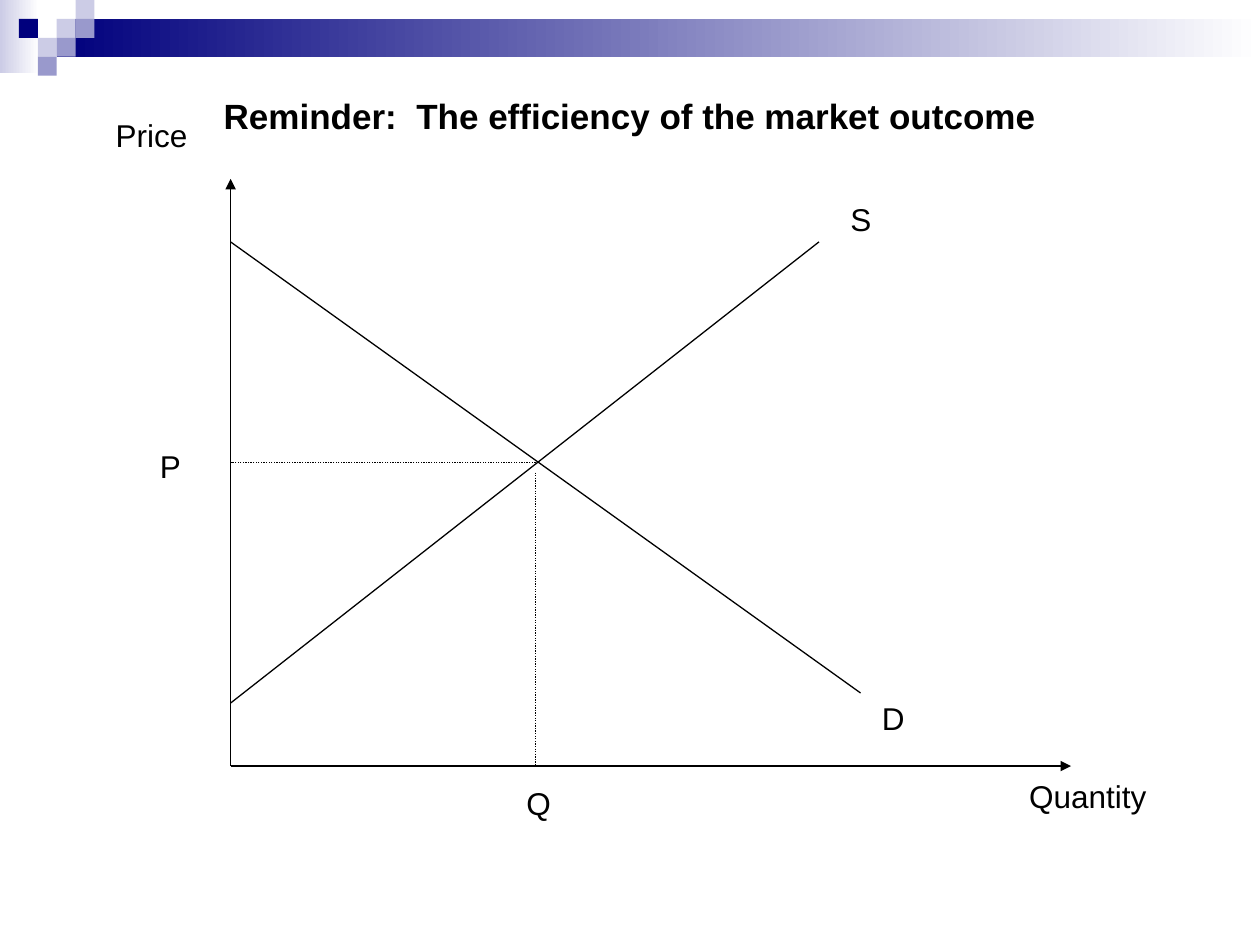
from pptx import Presentation
from pptx import util as u
from pptx.dml.color import RGBColor
from pptx.enum import dml, shapes, text
from pptx.oxml.ns import qn
from lxml import etree

INK = {"black": "000000", "navy": "00007D", "mid": "9999CC",
       "pale": "CCCCE6", "white": "FFFFFF"}


def rgb(name):
    return RGBColor.from_string(INK[name])


def write(frame, words, size=18, bold=False, align=text.PP_ALIGN.LEFT,
          anchor=text.MSO_ANCHOR.TOP, wrap=False):
    frame.word_wrap = wrap
    frame.vertical_anchor = anchor
    para = frame.paragraphs[0]
    para.alignment = align
    run = para.add_run()
    run.text = words
    font = run.font
    font.name, font.size, font.bold = "Arial", u.Pt(size), bold
    font.color.rgb = rgb("black")


def label(slide, words, left, top, width):
    box = slide.shapes.add_textbox(
        u.Inches(left), u.Inches(top), u.Inches(width), u.Inches(0.4))
    write(box.text_frame, words)


def line(slide, start, end, dots=False, arrow=False):
    rule = slide.shapes.add_connector(
        shapes.MSO_CONNECTOR.STRAIGHT, *(u.Inches(n) for n in (*start, *end)))
    rule.line.color.rgb = rgb("black")
    rule.line.width = u.Pt(0.75)
    if dots:
        rule.line.dash_style = dml.MSO_LINE.ROUND_DOT
    if arrow:
        tip = etree.SubElement(rule.line._get_or_add_ln(), qn("a:tailEnd"))
        tip.set("type", "triangle")
    etree.SubElement(rule._element.spPr, qn("a:effectLst"))


def block(slide, left, top, width, height, first, last=None):
    rect = slide.shapes.add_shape(
        shapes.MSO_SHAPE.RECTANGLE,
        *(u.Inches(n) for n in (left, top, width, height)))
    rect.shadow.inherit = False
    rect.line.fill.background()
    if last:
        rect.fill.gradient()
        rect.fill.gradient_angle = 0
        for stop, name, place in zip(rect.fill.gradient_stops, (first, last), (0, 1)):
            stop.color.rgb = rgb(name)
            stop.position = place
    else:
        rect.fill.solid()
        rect.fill.fore_color.rgb = rgb(first)


def banner(slide, left, top, width):
    # Fading bands
    block(slide, left, top, 0.31, 0.58, "pale", "white")
    block(slide, left + 0.45, top + 0.15, width - 0.45, 0.3, "navy", "white")
    # Squares on a grid: column, row, colour
    side = 0.15
    for col, row, name in ((3, 1, "pale"), (4, 0, "pale"), (4, 1, "mid"),
                           (2, 2, "pale"), (1, 1, "navy"), (3, 2, "mid"),
                           (2, 3, "mid")):
        block(slide, left + col * side, top + row * side, side, side, name)


def heading(slide, left, top, width, height):
    title = slide.shapes.title
    title.left, title.top = u.Inches(left), u.Inches(top)
    title.width, title.height = u.Inches(width), u.Inches(height)
    write(title.text_frame, "Reminder:  The efficiency of the market outcome",
          size=20, bold=True, align=text.PP_ALIGN.CENTER,
          anchor=text.MSO_ANCHOR.MIDDLE, wrap=True)


def graph(slide, left, top, width, height):
    base = top + height
    # Axes
    line(slide, (left, base), (left, top), arrow=True)
    line(slide, (left, base), (left + width, base), arrow=True)
    label(slide, "Price", left - 1.01, top - 0.55, 0.77)
    label(slide, "Quantity", left + width - 0.43, base + 0.04, 1.13)
    # Supply and demand
    line(slide, (left, base - 0.5), (left + 4.67, top + 0.5))
    line(slide, (left, top + 0.5), (left + 5, base - 0.58))
    label(slide, "S", left + 4.82, top + 0.12, 0.37)
    label(slide, "D", left + 5.07, base - 0.58, 0.47)
    # Market price and quantity
    mid, level = left + 2.42, top + 2.25
    line(slide, (mid, level), (left, level), dots=True)
    line(slide, (mid, level + 0.08), (mid, base), dots=True)
    label(slide, "P", left - 0.66, level - 0.17, 0.37)
    label(slide, "Q", mid - 0.17, base + 0.09, 0.4)


def main():
    deck = Presentation()
    deck.slide_width, deck.slide_height = u.Inches(10), u.Inches(7.5)
    slide = deck.slides.add_slide(deck.slide_layouts[5])
    slide.background.fill.solid()
    slide.background.fill.fore_color.rgb = rgb("white")
    banner(slide, 0, 0, 10)
    heading(slide, 0.5, 0.67, 9, 0.5)
    graph(slide, 1.83, 1.42, 6.67, 4.66)
    deck.save("out.pptx")


if __name__ == "__main__":
    main()
